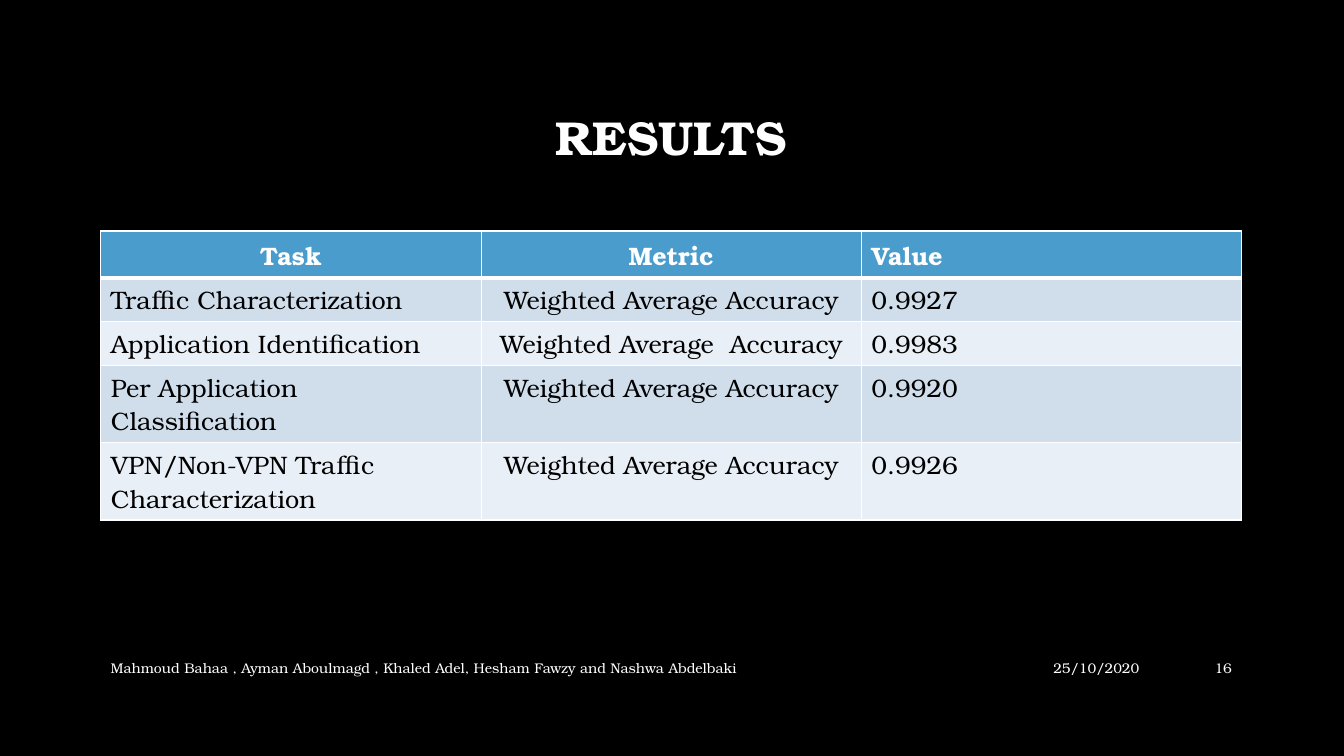
from dataclasses import dataclass

from lxml.etree import SubElement
from pptx import Presentation
from pptx.dml.color import RGBColor
from pptx.enum.text import MSO_ANCHOR as Anchor, PP_ALIGN as Align
from pptx.oxml.ns import qn
from pptx.slide import Slide
from pptx.table import _Cell as Cell
from pptx.text.text import _Paragraph as Paragraph
from pptx.util import Pt

FONT = "TeX Gyre Bonum"
COLORS = {
    "background": "000000",
    "light": "FFFFFF",
    "dark": "000000",
    "header": "4A9CCC",
    "odd": "D0DEEC",
    "even": "E9EFF6",
}
LEFT, WIDTH = 72, 815
FOOTER_TOP, FOOTER_HEIGHT = 463, 28.8
TABLE_TOP, ROW_HEIGHT = 165, 29.5
THIN, THICK = 1, 3


@dataclass(frozen=True)
class Label:
    text: str
    left: float
    top: float
    width: float
    height: float
    align: Align
    size: float = 10
    bold: bool = False
    line_spacing: float = 1.0


LABELS = [
    Label("RESULTS", LEFT, 48.2, WIDTH, 104.4, Align.CENTER, 34, True, 0.9),
    Label("Mahmoud Bahaa , Ayman Aboulmagd , Khaled Adel, Hesham Fawzy and Nashwa Abdelbaki",
          LEFT, FOOTER_TOP, 525.6, FOOTER_HEIGHT, Align.LEFT),
    Label("16", 828, FOOTER_TOP, 59, FOOTER_HEIGHT, Align.RIGHT),
    Label("25/10/2020", 604.8, FOOTER_TOP, 216, FOOTER_HEIGHT, Align.RIGHT),
]

RESULTS = [
    ("Task", "Metric", "Value"),
    ("Traffic Characterization", "Weighted Average Accuracy", "0.9927"),
    ("Application Identification", "Weighted Average  Accuracy", "0.9983"),
    ("Per Application  Classification", "Weighted Average Accuracy", "0.9920"),
    ("VPN/Non-VPN Traffic Characterization", "Weighted Average Accuracy", "0.9926"),
]
HEADER_ALIGNS = (Align.CENTER, Align.CENTER, Align.LEFT)
BODY_ALIGNS = (Align.LEFT, Align.CENTER, Align.LEFT)


def rgb(color: str) -> RGBColor:
    return RGBColor.from_string(COLORS[color])


def format_paragraph(paragraph: Paragraph, align: Align, size: float, color: str, bold: bool) -> None:
    paragraph.alignment = align
    for run in paragraph.runs:
        run.font.name = FONT
        run.font.size = Pt(size)
        run.font.bold = bold
        run.font.color.rgb = rgb(color)


def add_label(slide: Slide, label: Label) -> None:
    box = slide.shapes.add_textbox(Pt(label.left), Pt(label.top), Pt(label.width), Pt(label.height))
    frame = box.text_frame
    frame.word_wrap = True
    frame.vertical_anchor = Anchor.MIDDLE
    frame.text = label.text
    paragraph = frame.paragraphs[0]
    paragraph.line_spacing = label.line_spacing
    format_paragraph(paragraph, label.align, label.size, "light", label.bold)


def add_borders(cell: Cell, top: float, bottom: float) -> None:
    properties = cell._tc.get_or_add_tcPr()
    for side, width in (("L", THIN), ("R", THIN), ("T", top), ("B", bottom)):
        line = SubElement(properties, qn(f"a:ln{side}"), w=str(Pt(width)))
        fill = SubElement(line, qn("a:solidFill"))
        SubElement(fill, qn("a:srgbClr"), val=COLORS["light"])


def add_results_table(slide: Slide) -> None:
    columns = len(RESULTS[0])
    table = slide.shapes.add_table(
        len(RESULTS), columns, Pt(LEFT), Pt(TABLE_TOP), Pt(WIDTH), Pt(ROW_HEIGHT * len(RESULTS))
    ).table
    for column in table.columns:
        column.width = Pt(WIDTH / columns)
    for row, values in enumerate(RESULTS):
        is_header = row == 0
        band = "header" if is_header else "odd" if row % 2 else "even"
        aligns = HEADER_ALIGNS if is_header else BODY_ALIGNS
        for column, (value, align) in enumerate(zip(values, aligns)):
            cell = table.cell(row, column)
            add_borders(cell, THICK if row == 1 else THIN, THICK if is_header else THIN)
            cell.fill.solid()
            cell.fill.fore_color.rgb = rgb(band)
            cell.text_frame.text = value
            format_paragraph(cell.text_frame.paragraphs[0], align, 18,
                             "light" if is_header else "dark", is_header)


def main() -> None:
    presentation = Presentation()
    presentation.slide_width, presentation.slide_height = Pt(960), Pt(540)
    slide = presentation.slides.add_slide(presentation.slide_layouts[6])
    slide.background.fill.solid()
    slide.background.fill.fore_color.rgb = rgb("background")
    add_results_table(slide)
    for label in LABELS:
        add_label(slide, label)
    presentation.save("out.pptx")


if __name__ == "__main__":
    main()
